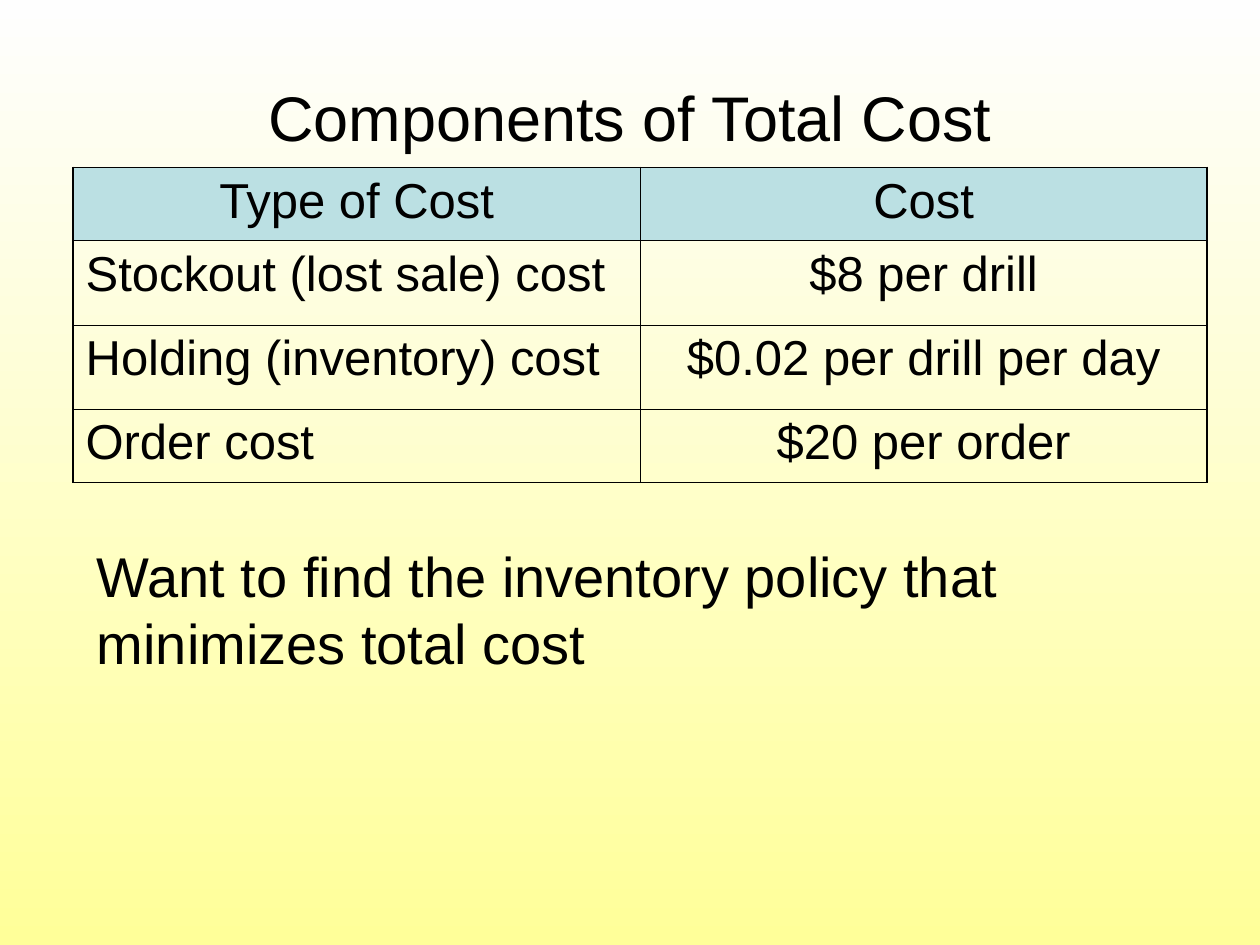
"""Build the slide on the components of total inventory cost."""
import dataclasses

import lxml.etree
import pptx
import pptx.dml.color
import pptx.enum.text
import pptx.oxml.ns
import pptx.util

Inches = pptx.util.Inches
Pt = pptx.util.Pt
Align = pptx.enum.text.PP_ALIGN
Anchor = pptx.enum.text.MSO_ANCHOR

FONT = "Arial"
COLORS = {"ink": "000000", "header": "BBE0E3", "top": "FEFEFE", "bottom": "FFFF99"}
OUTER_LINE, INNER_LINE = Pt(1.08), Pt(0.45)


@dataclasses.dataclass(frozen=True)
class TextStyle:
    size: int
    align: Align = Align.LEFT
    space_before: int = 0


@dataclasses.dataclass(frozen=True)
class CostRow:
    kind: str
    cost: str
    height: float


COST_ROWS = [
    CostRow("Type of Cost", "Cost", 0.58),
    CostRow("Stockout (lost sale) cost", "$8 per drill", 0.67),
    CostRow("Holding (inventory) cost", "$0.02 per drill per day", 0.67),
    CostRow("Order cost", "$20 per order", 0.58),
]


def rgb(name: str) -> pptx.dml.color.RGBColor:
    return pptx.dml.color.RGBColor.from_string(COLORS[name])


def write(frame, text: str, style: TextStyle) -> None:
    frame.text = text
    paragraph = frame.paragraphs[0]
    paragraph.alignment = style.align
    paragraph.space_before = Pt(style.space_before)
    font = paragraph.runs[0].font
    font.name, font.size = FONT, Pt(style.size)
    font.color.rgb = rgb("ink")


def add_text(slide, text: str, box: tuple, style: TextStyle, anchor: Anchor) -> None:
    frame = slide.shapes.add_textbox(*map(Inches, box)).text_frame
    frame.word_wrap = True
    frame.vertical_anchor = anchor
    write(frame, text, style)


def set_borders(cell, outer_sides: dict[str, bool]) -> None:
    properties = cell._tc.get_or_add_tcPr()
    qn = pptx.oxml.ns.qn
    for position, (side, is_outer) in enumerate(outer_sides.items()):
        width = OUTER_LINE if is_outer else INNER_LINE
        line = lxml.etree.Element(qn(f"a:ln{side}"), w=str(int(width)))
        fill = lxml.etree.SubElement(line, qn("a:solidFill"))
        lxml.etree.SubElement(fill, qn("a:srgbClr"), val=COLORS["ink"])
        properties.insert(position, line)


def add_cost_table(slide, rows: list[CostRow]) -> None:
    box = map(Inches, (0.58, 1.33, 9, sum(row.height for row in rows)))
    table = slide.shapes.add_table(len(rows), 2, *box).table
    table.horz_banding = False
    for column in table.columns:
        column.width = Inches(4.5)
    for r, row in enumerate(rows):
        table.rows[r].height = Inches(row.height)
        for c, text in enumerate((row.kind, row.cost)):
            cell = table.cell(r, c)
            align = Align.LEFT if r > 0 and c == 0 else Align.CENTER
            write(cell.text_frame, text, TextStyle(28, align, 7))
            cell.text_frame.paragraphs[0].runs[0].font.bold = False
            if r == 0:
                cell.fill.solid()
                cell.fill.fore_color.rgb = rgb("header")
            else:
                cell.fill.background()
            last_row = r == len(rows) - 1
            set_borders(cell, {"L": c == 0, "R": c == 1, "T": r == 0, "B": last_row})


def paint_background(slide) -> None:
    fill = slide.background.fill
    fill.gradient()
    fill.gradient_angle = 270
    for stop, name in zip(fill.gradient_stops, ("top", "bottom")):
        stop.color.rgb = rgb(name)


def main() -> None:
    deck = pptx.Presentation()
    deck.slide_width, deck.slide_height = Inches(10), Inches(7.5)
    slide = deck.slides.add_slide(deck.slide_layouts[6])
    paint_background(slide)
    add_text(slide, "Components of Total Cost", (0.5, 0.3, 9, 1.25),
             TextStyle(36, Align.CENTER), Anchor.MIDDLE)
    add_cost_table(slide, COST_ROWS)
    add_text(slide, "Want to find the inventory policy that minimizes total cost",
             (0.67, 4.25, 8.75, 1.17), TextStyle(32, space_before=20), Anchor.TOP)
    deck.save("out.pptx")


if __name__ == "__main__":
    main()
